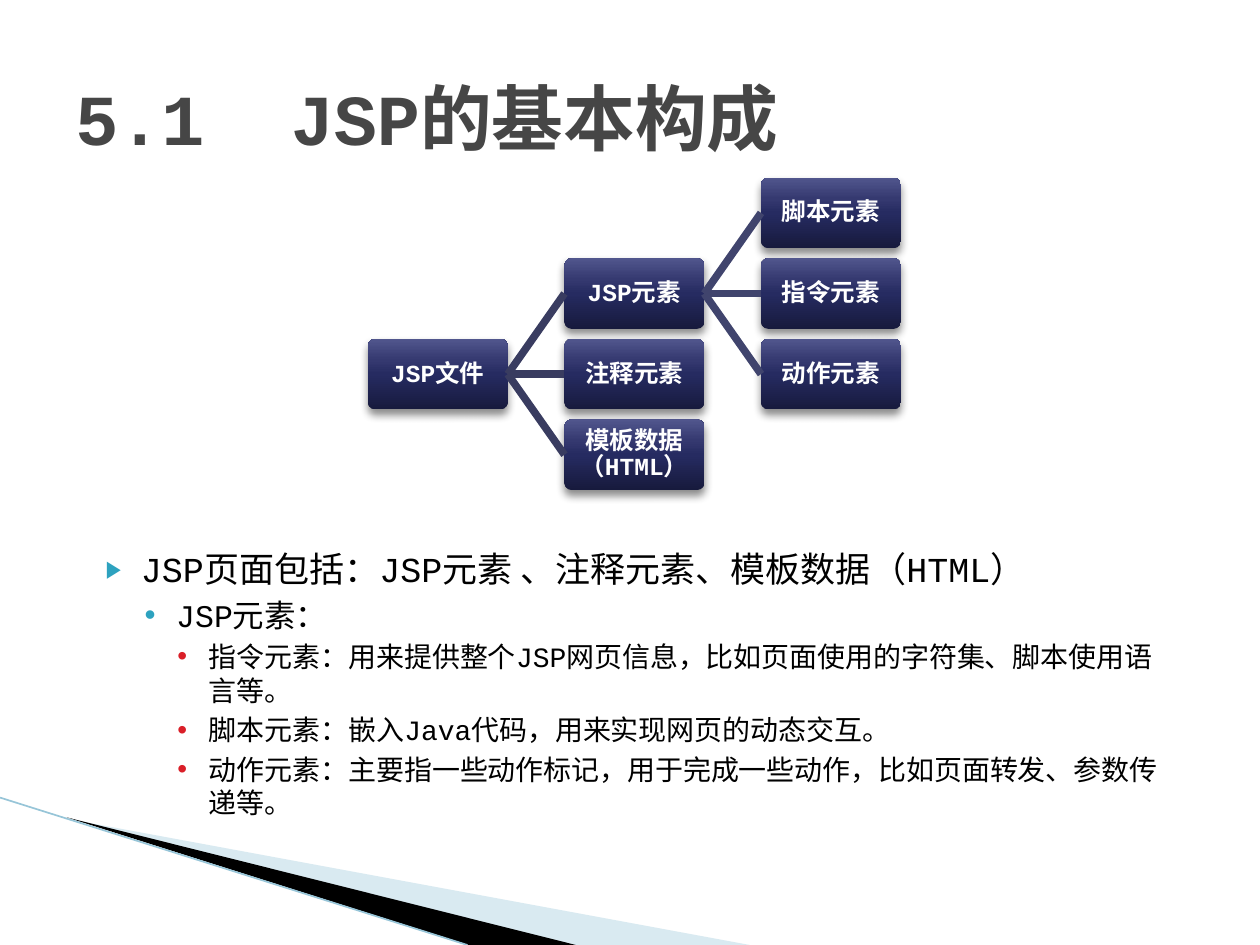
from lxml import etree
from pptx import Presentation
from pptx import util as u
from pptx.dml.color import RGBColor
from pptx.enum import shapes, text
from pptx.oxml import parse_xml
from pptx.oxml.ns import nsdecls, qn

COLORS = {
    "title": "464646", "body": "000000", "node_text": "FFFFFF",
    "link1": "393C60", "link2": "40446D",
    "wedge_light": "A0CBDC", "wedge_dark": "000000", "edge": "97C5D8",
    "teal": "2DA2BF", "red": "DA1F28", "shadow": "000000",
}
NODE_STOPS = [(0, "171A3D"), (50, "262B61"), (70, "353970"), (100, "51568D")]

# Outline levels: size, left indent, hanging indent, space before, bullet
LEVELS = [
    dict(size=20, left=0.4, hang=0.28, before=4, bullet="▶", color="teal", scale=68),
    dict(size=18, left=0.68, hang=0.25, before=3.2, bullet="•", color="teal", scale=100),
    dict(size=16, left=0.94, hang=0.25, before=3.5, bullet="•", color="red", scale=100),
]
OUTLINE = [
    (0, "JSP页面包括：JSP元素 、注释元素、模板数据（HTML）"),
    (1, "JSP元素："),
    (2, "指令元素：用来提供整个JSP网页信息，比如页面使用的字符集、脚本使用语言等。"),
    (2, "脚本元素：嵌入Java代码，用来实现网页的动态交互。"),
    (2, "动作元素：主要指一些动作标记，用于完成一些动作，比如页面转发、参数传递等。"),
]

# Tree: name -> (column, row); links: parent -> (colour, children)
NODES = {
    "JSP文件": (0, 2),
    "JSP元素": (1, 1), "注释元素": (1, 2), "模板数据（HTML）": (1, 3),
    "脚本元素": (2, 0), "指令元素": (2, 1), "动作元素": (2, 2),
}
LINKS = {
    "JSP文件": ("link1", ["JSP元素", "注释元素", "模板数据（HTML）"]),
    "JSP元素": ("link2", ["脚本元素", "指令元素", "动作元素"]),
}


def rgb(name):
    return RGBColor.from_string(COLORS[name])


class SlideBuilder:
    """Holds the style and the slide; lengths are percent of the slide's size."""
    font = "Courier New"
    tree_left, tree_top = 29.2, 18.8
    column_step, row_step = 15.6, 8.53
    node_width, node_height = 11.1, 7.47

    def __init__(self, presentation):
        self.width = presentation.slide_width
        self.height = presentation.slide_height
        self.slide = presentation.slides.add_slide(presentation.slide_layouts[6])
        self.shapes = self.slide.shapes

    def point(self, x, y):
        return round(self.width * x / 100), round(self.height * y / 100)

    def area(self, left, top, width, height):
        return *self.point(left, top), *self.point(width, height)

    def add_words(self, paragraph, words, color, **format_values):
        run = paragraph.add_run()
        run.text = words
        run.font.color.rgb = rgb(color)
        for name, value in {"name": self.font, **format_values}.items():
            setattr(run.font, name, value)

    def text_box(self, area, anchor):
        frame = self.shapes.add_textbox(*self.area(*area)).text_frame
        frame.word_wrap = True
        frame.vertical_anchor = anchor
        return frame

    def wedge(self, points, color, opacity=100):
        start, *others = [self.point(*p) for p in points]
        builder = self.shapes.build_freeform(*start)
        builder.add_line_segments(others, close=True)
        shape = builder.convert_to_shape()
        shape.shadow.inherit = False
        shape.line.fill.background()
        shape.fill.solid()
        shape.fill.fore_color.rgb = rgb(color)
        if opacity < 100:
            color_node = shape.element.spPr.find(".//" + qn("a:srgbClr"))
            etree.SubElement(color_node, qn("a:alpha"), val=str(opacity * 1000))

    def line(self, start, end, color, width):
        connector = self.shapes.add_connector(
            shapes.MSO_CONNECTOR.STRAIGHT, *self.point(*start), *self.point(*end))
        connector.line.color.rgb = rgb(color)
        connector.line.width = u.Pt(width)
        etree.SubElement(connector.element.spPr, qn("a:effectLst"))
        return connector

    def link(self, parent, child, color):
        connector = self.line((0, 0), (1, 1), color, 4.33)
        connector.begin_connect(parent, 3)
        connector.end_connect(child, 1)

    def node(self, words, column, row):
        shape = self.shapes.add_shape(
            shapes.MSO_SHAPE.ROUNDED_RECTANGLE,
            *self.area(self.tree_left + column * self.column_step,
                       self.tree_top + row * self.row_step,
                       self.node_width, self.node_height))
        shape.adjustments[0] = 0.1
        shape.line.fill.background()
        shape.shadow.inherit = False
        properties = shape.element.spPr
        # Upward gradient and soft shadow below
        stops = "".join(f'<a:gs pos="{place * 1000}"><a:srgbClr val="{color}"/></a:gs>'
                        for place, color in NODE_STOPS)
        properties.insert(2, parse_xml(
            f'<a:gradFill {nsdecls("a")} rotWithShape="1"><a:gsLst>{stops}</a:gsLst>'
            '<a:lin ang="16200000" scaled="0"/></a:gradFill>'))
        properties.find(qn("a:effectLst")).append(parse_xml(
            f'<a:outerShdw {nsdecls("a")} blurRad="{u.Pt(5)}" dist="{u.Pt(3)}" '
            f'dir="5400000" rotWithShape="0"><a:srgbClr val="{COLORS["shadow"]}">'
            '<a:alpha val="45000"/></a:srgbClr></a:outerShdw>'))
        frame = shape.text_frame
        frame.word_wrap = True
        frame.vertical_anchor = text.MSO_ANCHOR.MIDDLE
        for side in ("left", "top", "right", "bottom"):
            setattr(frame, f"margin_{side}", u.Inches(0.02))
        paragraph = frame.paragraphs[0]
        paragraph.alignment = text.PP_ALIGN.CENTER
        paragraph.line_spacing = 0.9
        self.add_words(paragraph, words, "node_text", size=u.Pt(14), bold=True)
        return shape

    def title(self, words, area, tab):
        paragraph = self.text_box(area, text.MSO_ANCHOR.MIDDLE).paragraphs[0]
        tabs = etree.SubElement(paragraph._p.get_or_add_pPr(), qn("a:tabLst"))
        etree.SubElement(tabs, qn("a:tab"), pos=str(u.Inches(tab)), algn="l")
        self.add_words(paragraph, words, "title", size=u.Pt(41), bold=True)

    def outline(self, items, area):
        frame = self.text_box(area, text.MSO_ANCHOR.TOP)
        for index, (level, words) in enumerate(items):
            paragraph = frame.add_paragraph() if index else frame.paragraphs[0]
            style = LEVELS[level]
            paragraph.level = level
            paragraph.space_before = u.Pt(style["before"])
            properties = paragraph._p.get_or_add_pPr()
            properties.set("marL", str(u.Inches(style["left"])))
            properties.set("indent", str(-u.Inches(style["hang"])))
            bullet_color = etree.SubElement(properties, qn("a:buClr"))
            etree.SubElement(bullet_color, qn("a:srgbClr"), val=COLORS[style["color"]])
            etree.SubElement(properties, qn("a:buSzPct"), val=str(style["scale"] * 1000))
            etree.SubElement(properties, qn("a:buFont"), typeface="Arial")
            etree.SubElement(properties, qn("a:buChar"), char=style["bullet"])
            self.add_words(paragraph, words, "body", size=u.Pt(style["size"]))


def main():
    presentation = Presentation()
    presentation.slide_width, presentation.slide_height = u.Inches(10), u.Inches(7.5)
    builder = SlideBuilder(presentation)

    # Corner decoration
    builder.wedge([(5.5, 86.7), (59.5, 100), (45.6, 100)], "wedge_light", opacity=40)
    builder.wedge([(5.3, 86.5), (45.7, 100), (37.2, 100)], "wedge_dark")
    builder.line((0, 84.4), (37.1, 100), "edge", 0.95)

    # Title and outline
    builder.title("5.1\tJSP的基本构成", (5, 4, 90, 16.67), tab=1.71)
    builder.outline(OUTLINE, (6.2, 57.33, 87.5, 30.4))

    # Tree of page elements
    nodes = {words: builder.node(words, *cell) for words, cell in NODES.items()}
    for parent, (color, children) in LINKS.items():
        for child in children:
            builder.link(nodes[parent], nodes[child], color)

    presentation.save("out.pptx")


if __name__ == "__main__":
    main()
